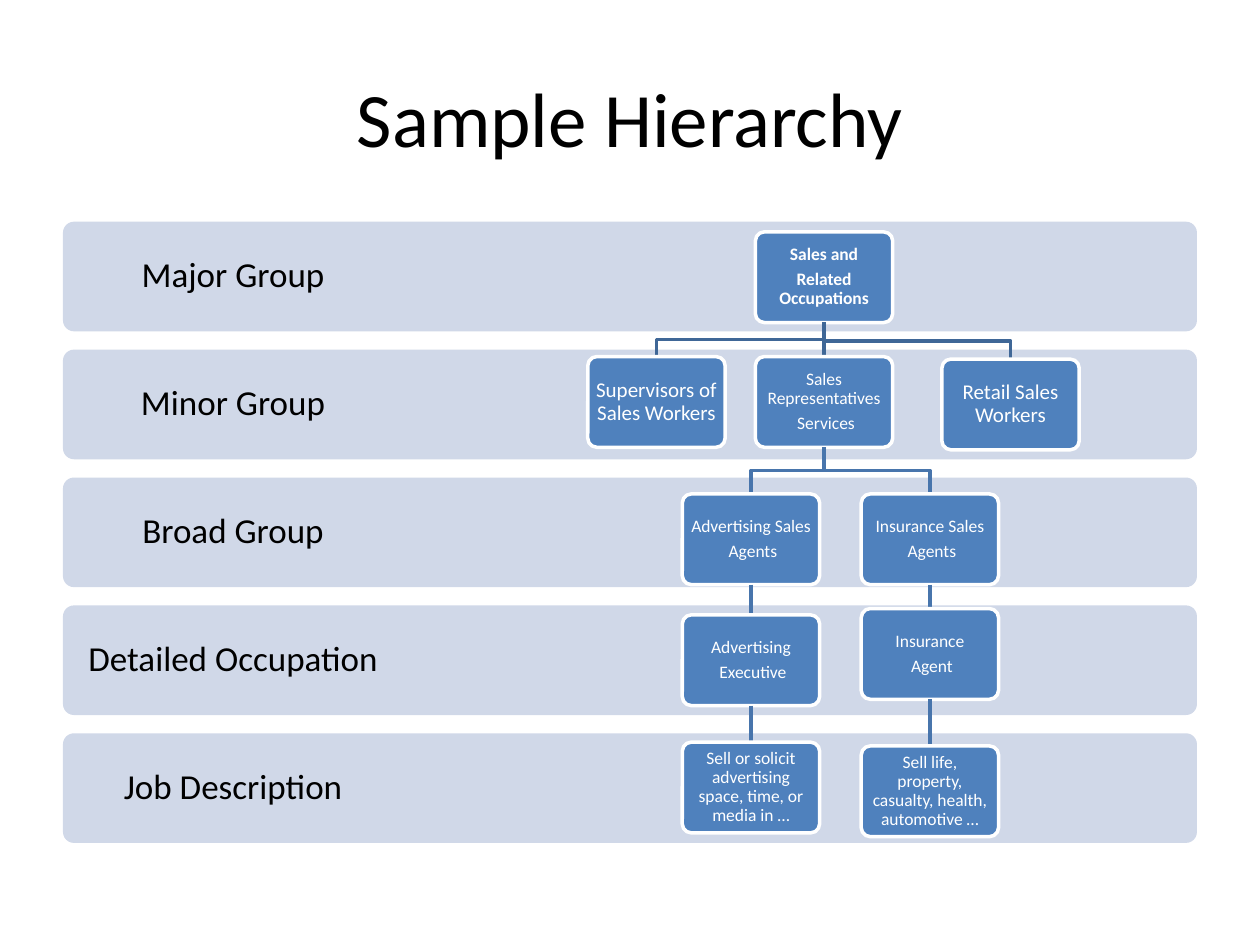
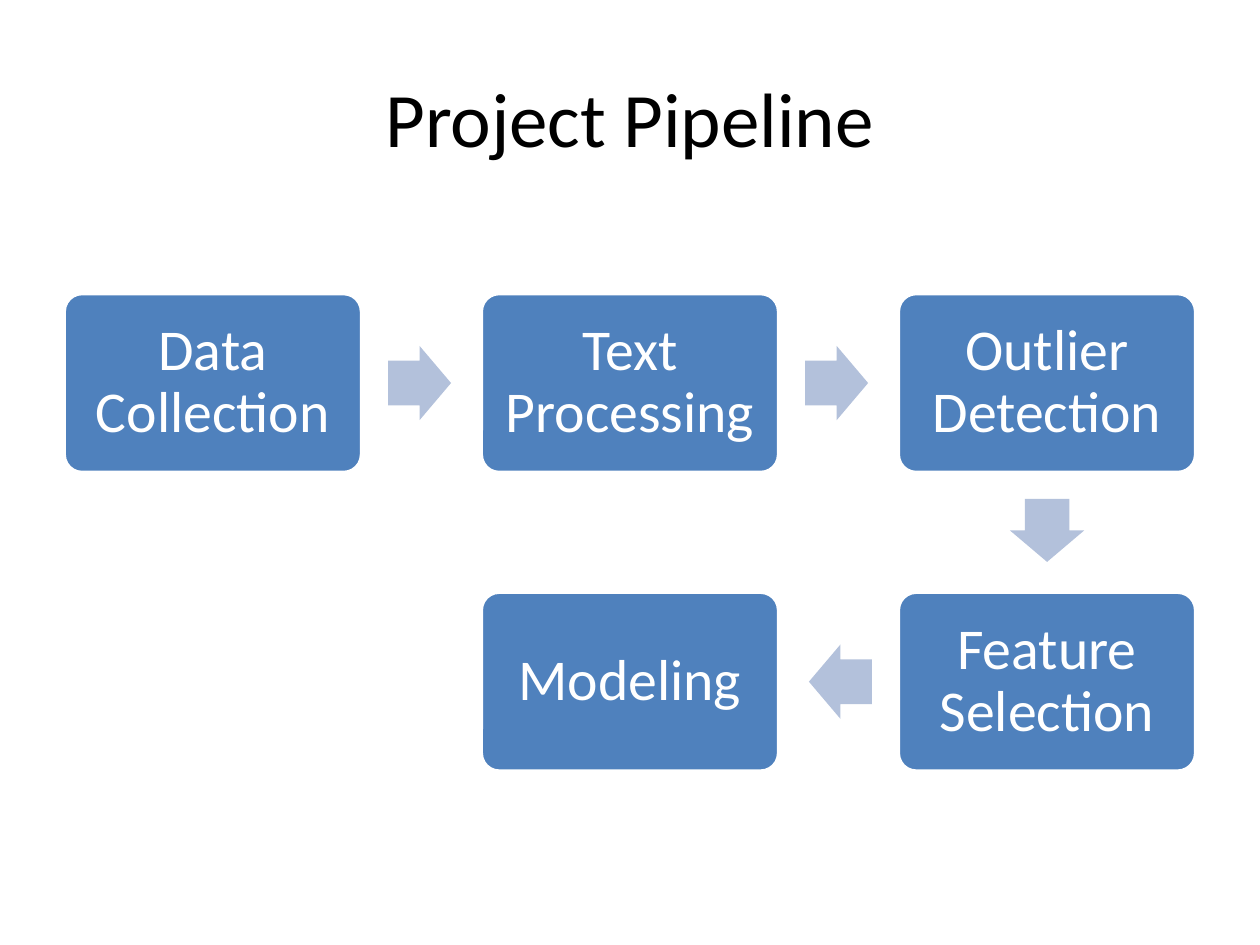
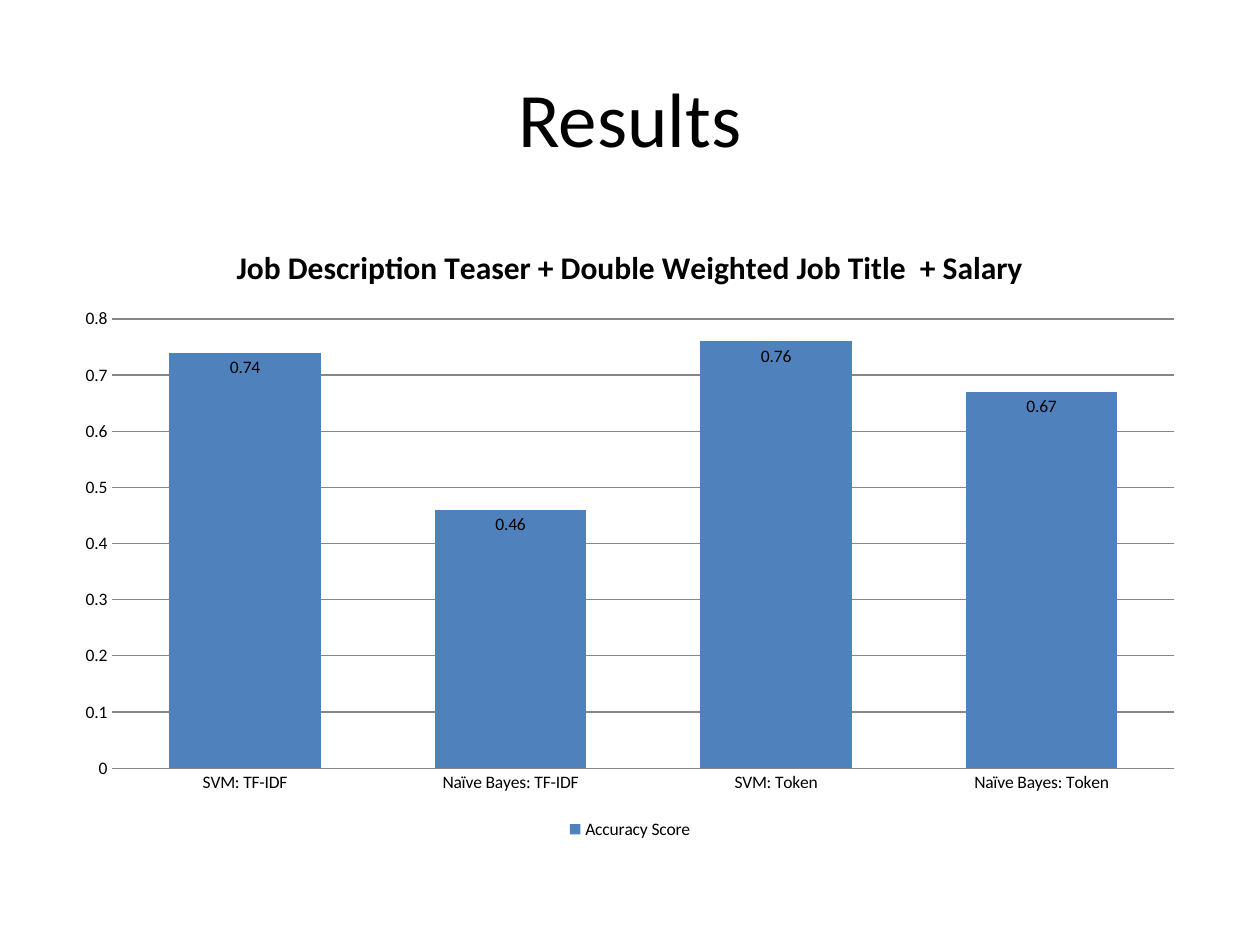
import math
from dataclasses import dataclass
from typing import Any, Optional

import pptx
import pptx.chart.data
import pptx.dml.color
import pptx.enum.chart
import pptx.enum.shapes
import pptx.enum.text
import pptx.oxml
import pptx.util

Inches = pptx.util.Inches
Pt = pptx.util.Pt
RGB = pptx.dml.color.RGBColor
Shapes = pptx.enum.shapes.MSO_SHAPE
Anchor = pptx.enum.text.MSO_ANCHOR
Align = pptx.enum.text.PP_ALIGN


@dataclass(frozen=True)
class Theme:
    font: str = "Calibri"
    text: RGB = RGB.from_string("000000")
    white: RGB = RGB.from_string("FFFFFF")
    accent: RGB = RGB.from_string("4F81BD")
    band: RGB = RGB.from_string("D0D8E8")
    arrow: RGB = RGB.from_string("B3C1DB")
    top_link: RGB = RGB.from_string("3F6797")
    link: RGB = RGB.from_string("4875AC")
    grid: RGB = RGB.from_string("878787")
    title_size: float = 44
    step_size: float = 33
    band_size: float = 20
    chart_title_size: float = 18
    node_large: float = 12
    node_small: float = 10
    line_width: float = 2


THEME = Theme()


@dataclass(frozen=True)
class Rect:
    left: float
    top: float
    width: float
    height: float

    def emu(self) -> tuple[int, ...]:
        return tuple(Inches(v) for v in (self.left, self.top, self.width, self.height))


@dataclass(frozen=True)
class Node:
    """A hierarchy box, placed by its middle x and its top."""
    key: str
    x: float
    top: float
    lines: tuple[str, ...]
    parent: Optional[str] = None
    size: float = THEME.node_small
    bold: bool = False


@dataclass(frozen=True)
class Step:
    text: str
    col: int
    row: int


BANDS = ("Major Group", "Minor Group", "Broad Group", "Detailed Occupation", "Job Description")
BAND_TOP, BAND_PITCH, BAND_HEIGHT = 1.76, 1.015, 0.87
NODE_W, NODE_H = 1.09, 0.72
MAIN_X, ADS_X, INSURANCE_X = 6.54, 5.96, 7.38

NODES = (
    Node("sales", MAIN_X, 1.84, ("Sales and", "Related Occupations"), bold=True),
    Node("reps", MAIN_X, 2.83, ("Sales Representatives", " Services"), "sales"),
    Node("ads", ADS_X, 3.92, ("Advertising Sales", " Agents"), "reps"),
    Node("executive", ADS_X, 4.88, ("Advertising", " Executive"), "ads"),
    Node("ads job", ADS_X, 5.89,
         ("Sell or solicit advertising space, time, or media in …",), "executive"),
    Node("insurance", INSURANCE_X, 3.92, ("Insurance Sales", " Agents"), "reps"),
    Node("agent", INSURANCE_X, 4.83, ("Insurance", " Agent"), "insurance"),
    Node("agent job", INSURANCE_X, 5.92,
         ("Sell life, property, casualty, health, automotive …",), "agent"),
    Node("supervisors", 5.21, 2.83, ("Supervisors of Sales Workers",), "sales", THEME.node_large),
    Node("retail", 8.02, 2.85, ("Retail Sales Workers",), "sales", THEME.node_large),
)

STEPS = (
    Step("Data Collection", 0, 0),
    Step("Text Processing", 1, 0),
    Step("Outlier Detection", 2, 0),
    Step("Feature Selection", 2, 1),
    Step("Modeling", 1, 1),
)
STEP_W, STEP_H = 2.36, 1.42
STEP_LEFT, STEP_TOP, COL_PITCH, ROW_PITCH = 0.51, 2.33, 3.31, 2.37
ARROW_W, ARROW_H, ARROW_SHIFT = 0.5, 0.59, 0.015

SCORES = {"SVM: TF-IDF": 0.74, "Naïve Bayes: TF-IDF": 0.46,
          "SVM: Token": 0.76, "Naïve Bayes: Token": 0.67}


def apply(obj: Any, values: dict[str, Any]) -> None:
    for name, value in values.items():
        setattr(obj, name, value)


def style_font(font: Any, size: float, color: RGB, bold: bool = False) -> None:
    apply(font, {"name": THEME.font, "size": Pt(size), "bold": bold})
    font.color.rgb = color


def write(sp: Any, lines: tuple[str, ...], size: float, color: RGB,
          inset: float, bold: bool = False) -> None:
    """Fill a shape with centred paragraphs in the diagram style."""
    tf = sp.text_frame
    apply(tf, {"word_wrap": True, "vertical_anchor": Anchor.MIDDLE})
    apply(tf, {f"margin_{side}": Inches(inset) for side in ("left", "top", "right", "bottom")})
    for i, line in enumerate(lines):
        p = tf.add_paragraph() if i else tf.paragraphs[0]
        apply(p, {"alignment": Align.CENTER, "line_spacing": 0.9, "space_after": Pt(0.35 * size)})
        r = p.add_run()
        r.text = line
        style_font(r.font, size, color, bold)


def add_preset(slide: Any, kind: Any, rect: Rect, fill: RGB, adjustments: tuple[float, ...],
               outline: Optional[RGB] = None) -> Any:
    sp = slide.shapes.add_shape(kind, *rect.emu())
    sp.shadow.inherit = False
    sp.fill.solid()
    sp.fill.fore_color.rgb = fill
    for i, value in enumerate(adjustments):
        sp.adjustments[i] = value
    if outline is None:
        sp.line.fill.background()
    else:
        style_line(sp.line, outline)
    return sp


def add_box(slide: Any, rect: Rect, fill: RGB, outline: Optional[RGB] = None) -> Any:
    return add_preset(slide, Shapes.ROUNDED_RECTANGLE, rect, fill, (0.1,), outline)


def style_line(line: Any, color: RGB) -> None:
    line.color.rgb = color
    line.width = Pt(THEME.line_width)


def add_link(slide: Any, parent: Any, child: Any, color: RGB) -> None:
    """Join two boxes, straight or with an elbow, behind the child."""
    x1, y1 = parent.left + parent.width // 2, parent.top + parent.height
    x2, y2 = child.left + child.width // 2, child.top
    if x1 == x2:
        link = slide.shapes.add_connector(pptx.enum.shapes.MSO_CONNECTOR.STRAIGHT, x1, y1, x2, y2)
        link.begin_connect(parent, 2)
        link.end_connect(child, 0)
        link.element.spPr.append(pptx.oxml.parse_xml(
            '<a:effectLst xmlns:a="http://schemas.openxmlformats.org/drawingml/2006/main"/>'))
    else:
        middle = (y1 + y2) // 2
        path_builder = slide.shapes.build_freeform(x1, y1)
        path_builder.add_line_segments([(x1, middle), (x2, middle), (x2, y2)], close=False)
        link = path_builder.convert_to_shape()
        link.fill.background()
        link.shadow.inherit = False
    style_line(link.line, color)
    child.element.addprevious(link.element)


def add_titled_slide(prs: Any, title: str) -> Any:
    slide = prs.slides.add_slide(prs.slide_layouts.get_by_name("Title Only"))
    sp = slide.shapes.title
    sp.left, sp.top, sp.width, sp.height = Rect(0.5, 0.3, 9, 1.25).emu()
    sp.text_frame.vertical_anchor = Anchor.MIDDLE
    p = sp.text_frame.paragraphs[0]
    p.alignment = Align.CENTER
    r = p.add_run()
    r.text = title
    style_font(r.font, THEME.title_size, THEME.text)
    return slide


def build_hierarchy(prs: Any) -> None:
    slide = add_titled_slide(prs, "Sample Hierarchy")
    for i, label in enumerate(BANDS):
        top = BAND_TOP + i * BAND_PITCH
        add_box(slide, Rect(0.5, top, 9, BAND_HEIGHT), THEME.band)
        label_box = slide.shapes.add_textbox(*Rect(0.5, top, 2.7, BAND_HEIGHT).emu())
        write(label_box, (label,), THEME.band_size, THEME.text, 0.16)
    boxes = {}
    for node in NODES:
        rect = Rect(node.x - NODE_W / 2, node.top, NODE_W, NODE_H)
        sp = boxes[node.key] = add_box(slide, rect, THEME.accent, THEME.white)
        write(sp, node.lines, node.size, THEME.white, 0.04, node.bold)
        if node.parent:
            color = THEME.top_link if node.parent == "sales" else THEME.link
            add_link(slide, boxes[node.parent], sp, color)


def add_step_arrow(slide: Any, start: Step, end: Step) -> None:
    """Point an arrow from one step to the next, midway between them."""
    dx, dy = end.col - start.col, end.row - start.row
    x = STEP_LEFT + (start.col + end.col) / 2 * COL_PITCH + STEP_W / 2 - ARROW_SHIFT * dx
    y = STEP_TOP + (start.row + end.row) / 2 * ROW_PITCH + STEP_H / 2 - ARROW_SHIFT * dy
    rect = Rect(x - ARROW_W / 2, y - ARROW_H / 2, ARROW_W, ARROW_H)
    sp = add_preset(slide, Shapes.RIGHT_ARROW, rect, THEME.arrow, (0.6, 0.5))
    sp.rotation = math.degrees(math.atan2(dy, dx))


def build_pipeline(prs: Any) -> None:
    slide = add_titled_slide(prs, "Project Pipeline")
    for i, step in enumerate(STEPS):
        if i:
            add_step_arrow(slide, STEPS[i - 1], step)
        rect = Rect(STEP_LEFT + step.col * COL_PITCH, STEP_TOP + step.row * ROW_PITCH,
                    STEP_W, STEP_H)
        sp = add_box(slide, rect, THEME.accent, THEME.white)
        write(sp, (step.text,), THEME.step_size, THEME.white, 0.14)


def build_results(prs: Any) -> None:
    slide = add_titled_slide(prs, "Results")
    enums = pptx.enum.chart
    data = pptx.chart.data.CategoryChartData()
    data.categories = list(SCORES)
    data.add_series("Accuracy Score", list(SCORES.values()))
    chart = slide.shapes.add_chart(enums.XL_CHART_TYPE.COLUMN_CLUSTERED,
                                   *Rect(0.5, 1.75, 9, 4.95).emu(), data).chart
    style_font(chart.font, THEME.node_small, THEME.text)

    p = chart.chart_title.text_frame.paragraphs[0]
    r = p.add_run()
    r.text = "Job Description Teaser + Double Weighted Job Title  + Salary"
    style_font(r.font, THEME.chart_title_size, THEME.text, True)

    chart.has_legend = True
    apply(chart.legend, {"position": enums.XL_LEGEND_POSITION.BOTTOM, "include_in_layout": False})

    no_tick = enums.XL_TICK_MARK.NONE
    for axis in (chart.category_axis, chart.value_axis):
        apply(axis, {"major_tick_mark": no_tick, "minor_tick_mark": no_tick})
    chart.category_axis.format.line.color.rgb = THEME.grid
    apply(chart.value_axis, {"minimum_scale": 0, "maximum_scale": 0.8, "major_unit": 0.1,
                             "has_major_gridlines": True})
    chart.value_axis.format.line.fill.background()
    chart.value_axis.major_gridlines.format.line.color.rgb = THEME.grid

    plot = chart.plots[0]
    apply(plot, {"gap_width": 75, "overlap": -25, "vary_by_categories": False})
    series = plot.series[0]
    series.format.fill.solid()
    series.format.fill.fore_color.rgb = THEME.accent
    apply(series.data_labels, {"show_value": True,
                               "position": enums.XL_LABEL_POSITION.INSIDE_END})
    style_font(series.data_labels.font, THEME.node_small, THEME.text)


def main() -> None:
    prs = pptx.Presentation()
    apply(prs, {"slide_width": Inches(10), "slide_height": Inches(7.5)})
    build_hierarchy(prs)
    build_pipeline(prs)
    build_results(prs)
    prs.save("out.pptx")


if __name__ == "__main__":
    main()
